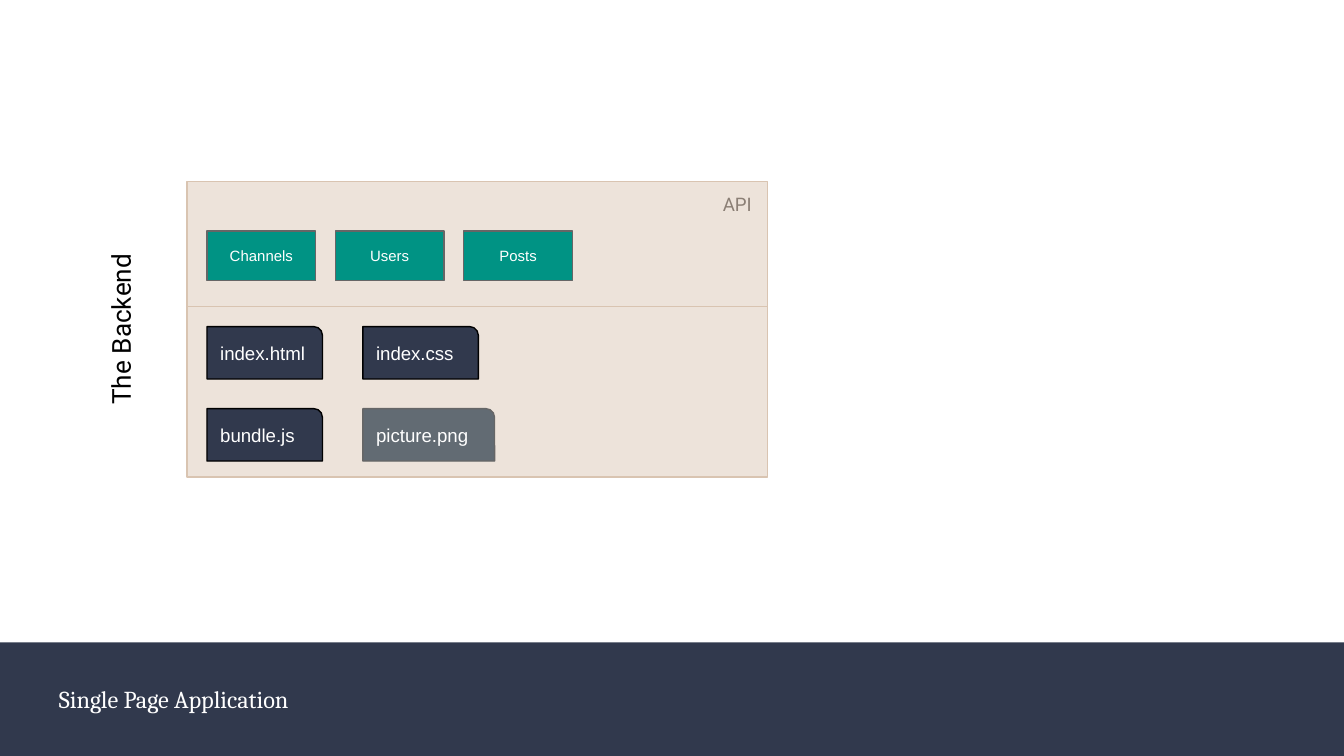
from dataclasses import dataclass

from lxml import etree
from pptx import Presentation
from pptx.dml.color import RGBColor
from pptx.enum.shapes import MSO_CONNECTOR, MSO_SHAPE
from pptx.enum.text import MSO_ANCHOR, PP_ALIGN
from pptx.oxml.ns import qn
from pptx.util import Inches, Pt

RECTANGLE = MSO_SHAPE.RECTANGLE
FILE_SHAPE = MSO_SHAPE.ROUND_1_RECTANGLE
STRAIGHT = MSO_CONNECTOR.STRAIGHT
TOP, MIDDLE = MSO_ANCHOR.TOP, MSO_ANCHOR.MIDDLE
LEFT, CENTER = PP_ALIGN.LEFT, PP_ALIGN.CENTER

COLORS = {
    "navy": "31394D",
    "sand": "EDE3DA",
    "sand_edge": "D9C4B1",
    "taupe": "8B7F75",
    "teal": "009384",
    "slate": "626B73",
    "gray": "666666",
    "black": "000000",
    "white": "FFFFFF",
}


def color(name):
    return RGBColor.from_string(COLORS[name])


def write_text(shape, text, *, size, font="Arial", ink="white",
               align=LEFT, anchor=MIDDLE, inset=0.1):
    frame = shape.text_frame
    frame.word_wrap = True
    frame.vertical_anchor = anchor
    frame.margin_left = frame.margin_right = Inches(inset)
    frame.margin_top = frame.margin_bottom = Inches(inset)
    para = frame.paragraphs[0]
    para.alignment = align
    span = para.add_run()
    span.text = text
    span.font.name = font
    span.font.size = Pt(size)
    span.font.color.rgb = color(ink)


@dataclass
class Painter:
    page: object
    line_width: float = 0.75

    def block(self, area, fill, edge=None, kind=RECTANGLE):
        box = self.page.shapes.add_shape(kind, *map(Inches, area))
        box.shadow.inherit = False
        box.fill.solid()
        box.fill.fore_color.rgb = color(fill)
        if edge:
            box.line.color.rgb = color(edge)
            box.line.width = Pt(self.line_width)
        else:
            box.line.fill.background()
        return box

    def label(self, area, text, rotation=0, **style):
        box = self.page.shapes.add_textbox(*map(Inches, area))
        box.rotation = rotation
        write_text(box, text, **style)

    def divider(self, start, end, top, ink):
        line = self.page.shapes.add_connector(
            STRAIGHT, Inches(start), Inches(top), Inches(end), Inches(top))
        line.line.color.rgb = color(ink)
        line.line.width = Pt(self.line_width)
        etree.SubElement(line._element.spPr, qn("a:effectLst"))

    def file(self, area, name, fill="navy", edge="black"):
        box = self.block(area, fill, edge, FILE_SHAPE)
        write_text(box, name, size=10)

    def resource(self, area, name):
        box = self.block(area, "teal", "gray")
        write_text(box, name, size=8, align=CENTER, inset=0.07)


def main():
    deck = Presentation()
    deck.slide_width = Inches(10)
    deck.slide_height = deck.slide_width * 9 // 16
    painter = Painter(deck.slides.add_slide(deck.slide_layouts[6]))

    painter.block((0, 4.78, 10, 0.85), "navy")
    painter.label((0.34, 4.95, 8.73, 0.5), "Single Page Application",
                  size=13, font="Cambria")

    left, top, width, height = 1.39, 1.35, 4.32, 2.2
    painter.block((left, top, width, height), "sand", "sand_edge")
    painter.label((0.22, 2.21, 1.36, 0.44), "The Backend", rotation=270,
                  size=14, font="Roboto", ink="black", anchor=TOP)
    painter.divider(left + width, left, 2.28, "sand_edge")
    painter.label((5.28, top, 0.44, 0.37), "API",
                  size=10, font="Roboto", ink="taupe", anchor=TOP)

    content_left = left + 0.15
    file_pitch_x, file_pitch_y = 1.16, 0.61
    files = [
        (0, 0, "index.html", 0.86, {}),
        (0, 1, "bundle.js", 0.86, {}),
        (1, 0, "index.css", 0.86, {}),
        (1, 1, "picture.png", 0.98, {"fill": "slate", "edge": "gray"}),
    ]
    for column, row, name, file_width, style in files:
        area = (content_left + column * file_pitch_x,
                2.43 + row * file_pitch_y, file_width, 0.39)
        painter.file(area, name, **style)

    resources = ("Channels", "Users", "Posts")
    resource_pitch = (3.45 - content_left) / (len(resources) - 1)
    for column, name in enumerate(resources):
        painter.resource(
            (content_left + column * resource_pitch, 1.72, 0.81, 0.37), name)

    deck.save("out.pptx")


if __name__ == "__main__":
    main()
